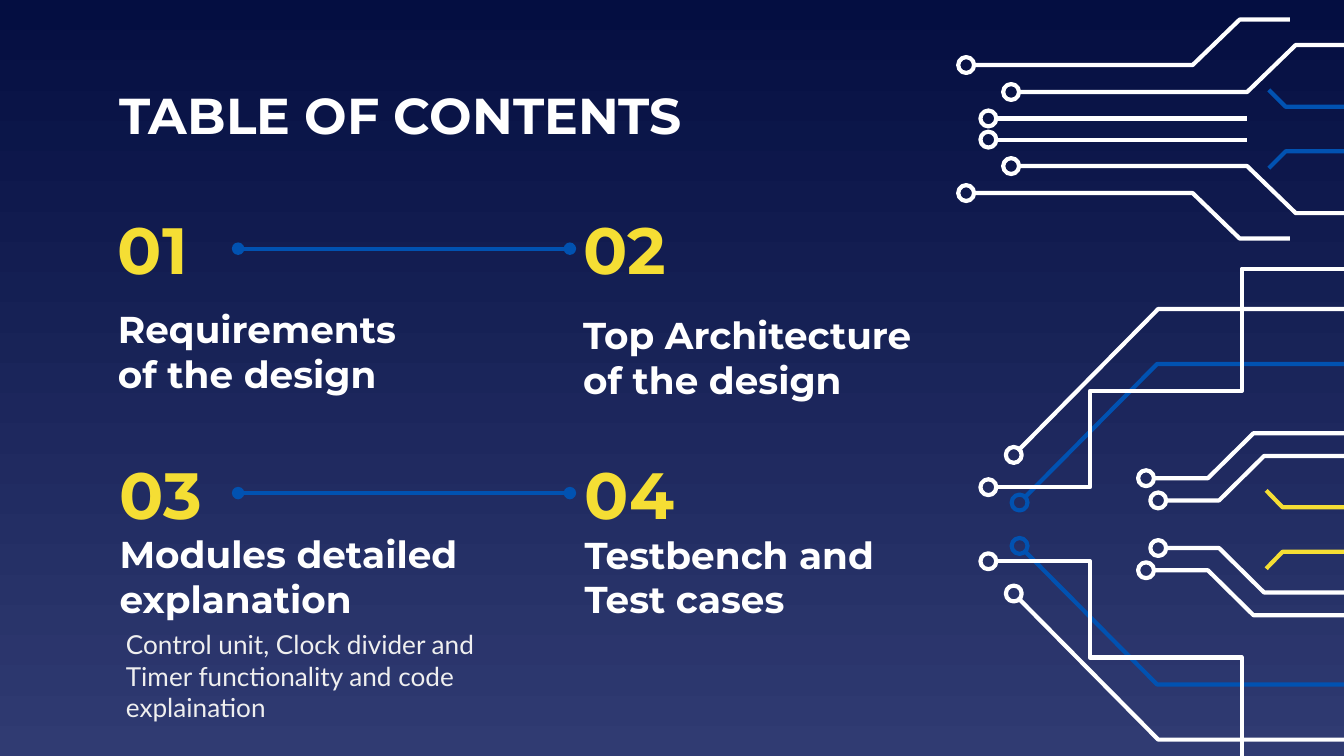
from math import hypot

from lxml.etree import SubElement
from pptx import Presentation
from pptx.dml.color import RGBColor
from pptx.enum.shapes import MSO_CONNECTOR, MSO_SHAPE
from pptx.enum.text import MSO_ANCHOR
from pptx.oxml.ns import qn
from pptx.util import Cm, Pt

NIGHT = RGBColor(0x04, 0x0E, 0x41)
DUSK = RGBColor(0x30, 0x3B, 0x72)
WHITE = RGBColor(0xFF, 0xFF, 0xFF)
PALE = RGBColor(0xEF, 0xEF, 0xEF)
BLUE = RGBColor(0x01, 0x52, 0xB1)
YELLOW = RGBColor(0xF5, 0xDE, 0x34)

HEADING_FONT = "Montserrat"
BODY_FONT = "Lato"
EDGE = 25.4
NODE_RADIUS = 0.15
LINE_WIDTH = Pt(2.25)

TOP_AXIS = 2.44
BOTTOM_AXIS = 9.91
YELLOW_AXIS = 10.01

CIRCUITS = [
    (BLUE, BOTTOM_AXIS, [(19.27, 9.5), (21.87, 6.88), (EDGE, 6.88)]),
    (WHITE, BOTTOM_AXIS, [(18.68, 9.21), (20.6, 9.21), (20.6, 7.39),
                          (23.47, 7.39), (23.47, 5.08), (EDGE, 5.08)]),
    (WHITE, BOTTOM_AXIS, [(19.16, 8.6), (21.89, 5.84), (EDGE, 5.84)]),
    (WHITE, BOTTOM_AXIS, [(21.66, 9.04), (22.83, 9.04), (23.69, 8.19), (EDGE, 8.19)]),
    (WHITE, BOTTOM_AXIS, [(21.89, 9.46), (23.04, 9.46), (23.89, 8.62), (EDGE, 8.62)]),
    (WHITE, TOP_AXIS, [(18.26, 1.23), (22.54, 1.23), (23.43, 0.37), (24.38, 0.37)]),
    (WHITE, TOP_AXIS, [(19.11, 1.74), (23.57, 1.74), (24.49, 0.85), (EDGE, 0.85)]),
    (WHITE, TOP_AXIS, [(18.68, 2.24), (23.57, 2.24)]),
]
STUBS = [
    (BLUE, TOP_AXIS, [(23.98, 1.7), (24.3, 2.02), (EDGE, 2.02)]),
    (YELLOW, YELLOW_AXIS, [(23.93, 9.27), (24.24, 9.59), (EDGE, 9.59)]),
]
SECTIONS = [
    ("01", 1.98, 3.96, "Requirements of the design", 5.44, 6.12, 2.39),
    ("02", 10.77, 3.96, "Top Architecture of the design", 5.44, 6.86, 2.62),
    ("03", 2.01, 8.59, "Modules detailed explanation", 10.06, 7.57, 1.65),
    ("04", 10.8, 8.59, "Testbench and Test cases", 9.91, 6.12, 1.98),
]


def paint_background(slide):
    fill = slide.background.fill
    fill.gradient()
    fill.gradient_angle = 270
    for stop, color, position in zip(fill.gradient_stops, (NIGHT, DUSK), (0, 1)):
        stop.color.rgb = color
        stop.position = position


def outline(shape, color):
    shape.shadow.inherit = False
    shape.fill.background()
    shape.line.color.rgb = color
    shape.line.width = LINE_WIDTH


def mirror(points, axis):
    return [(x, 2 * axis - y) for x, y in points]


def add_trace(slide, points, color):
    corners = [(Cm(x), Cm(y)) for x, y in points]
    builder = slide.shapes.build_freeform(*corners[0])
    builder.add_line_segments(corners[1:], close=False)
    outline(builder.convert_to_shape(), color)


def add_circuit(slide, points, color):
    (x, y), (next_x, next_y) = points[:2]
    reach = NODE_RADIUS / hypot(next_x - x, next_y - y)
    start = (x + (next_x - x) * reach, y + (next_y - y) * reach)
    add_trace(slide, [start] + points[1:], color)
    node = slide.shapes.add_shape(
        MSO_SHAPE.OVAL, Cm(x - NODE_RADIUS), Cm(y - NODE_RADIUS),
        Cm(2 * NODE_RADIUS), Cm(2 * NODE_RADIUS))
    outline(node, color)


def add_link(slide, y):
    link = slide.shapes.add_connector(
        MSO_CONNECTOR.STRAIGHT, Cm(4.5), Cm(y), Cm(10.77), Cm(y))
    link.line.color.rgb = BLUE
    link.line.width = LINE_WIDTH
    for end in ("a:headEnd", "a:tailEnd"):
        SubElement(link.line._get_or_add_ln(), qn(end), type="oval")
    SubElement(link._element.spPr, qn("a:effectLst"))


def add_text(slide, text, left, top, width, height, size, color,
             font=HEADING_FONT, bold=True):
    frame = slide.shapes.add_textbox(
        Cm(left), Cm(top), Cm(width), Cm(height)).text_frame
    frame.word_wrap = True
    frame.vertical_anchor = MSO_ANCHOR.MIDDLE
    frame.margin_left = frame.margin_right = Cm(0.25)
    frame.margin_top = frame.margin_bottom = Cm(0.25)
    run = frame.paragraphs[0].add_run()
    run.text = text
    run.font.name = font
    run.font.size = Pt(size)
    run.font.bold = bold
    run.font.color.rgb = color


def main():
    deck = Presentation()
    deck.slide_width, deck.slide_height = Cm(EDGE), Cm(14.29)
    slide = deck.slides.add_slide(deck.slide_layouts[6])
    paint_background(slide)

    for draw, traces in ((add_trace, STUBS), (add_circuit, CIRCUITS)):
        for color, axis, points in traces:
            draw(slide, points, color)
            draw(slide, mirror(points, axis), color)

    add_text(slide, "TABLE OF CONTENTS", 2.01, 1.5, 14.91, 1.32, 27, WHITE)
    for number, left, number_top, heading, top, width, height in SECTIONS:
        add_text(slide, number, left, number_top, 2.51, 1.47, 35, YELLOW)
        add_text(slide, heading, left, top, width, height, 20, WHITE)
    add_text(slide, "Control unit, Clock divider and Timer functionality and code explaination",
             2.13, 12.04, 7.14, 1.47, 14, PALE, BODY_FONT, False)

    for y in (4.7, 9.32):
        add_link(slide, y)
    deck.save("out.pptx")


if __name__ == "__main__":
    main()
